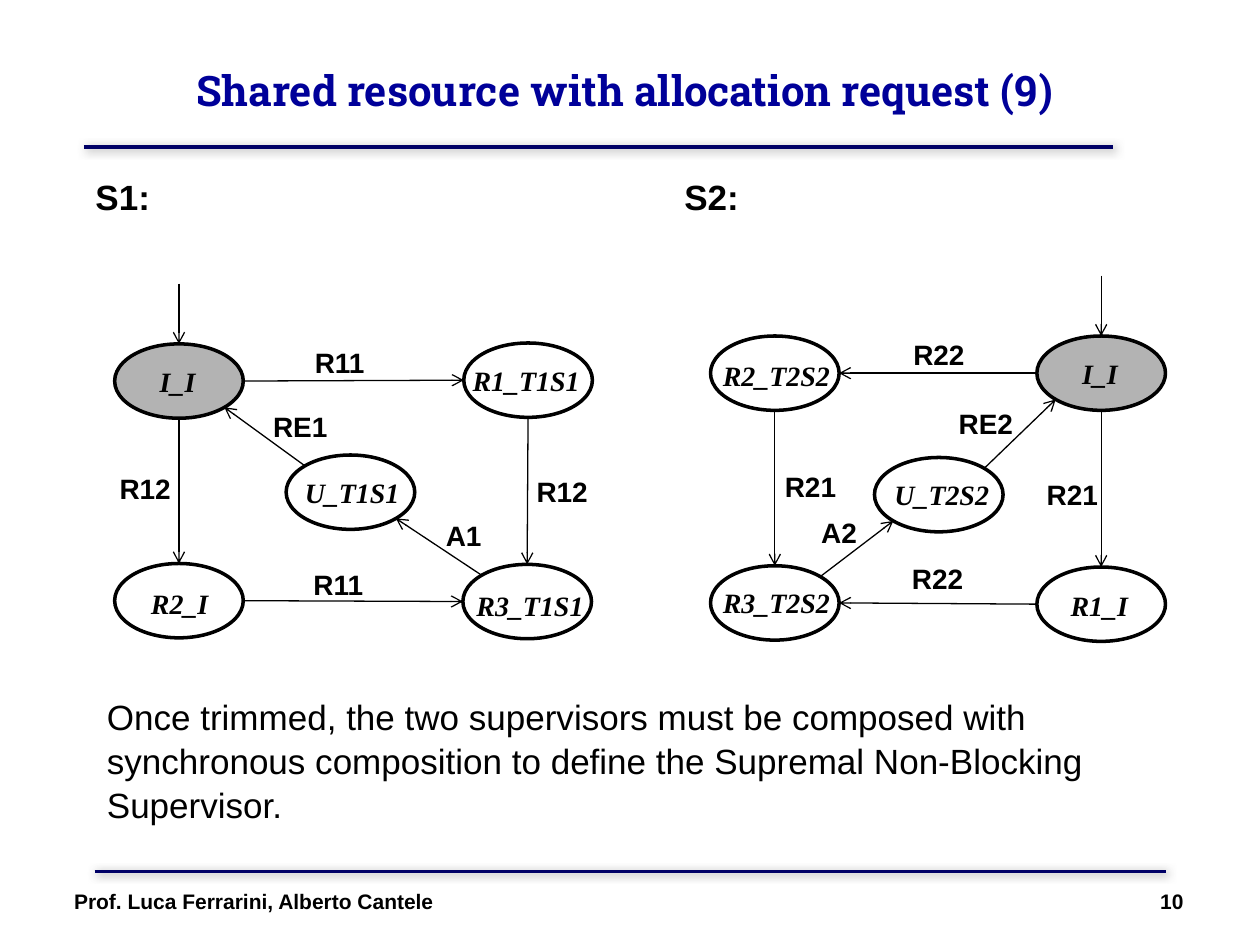
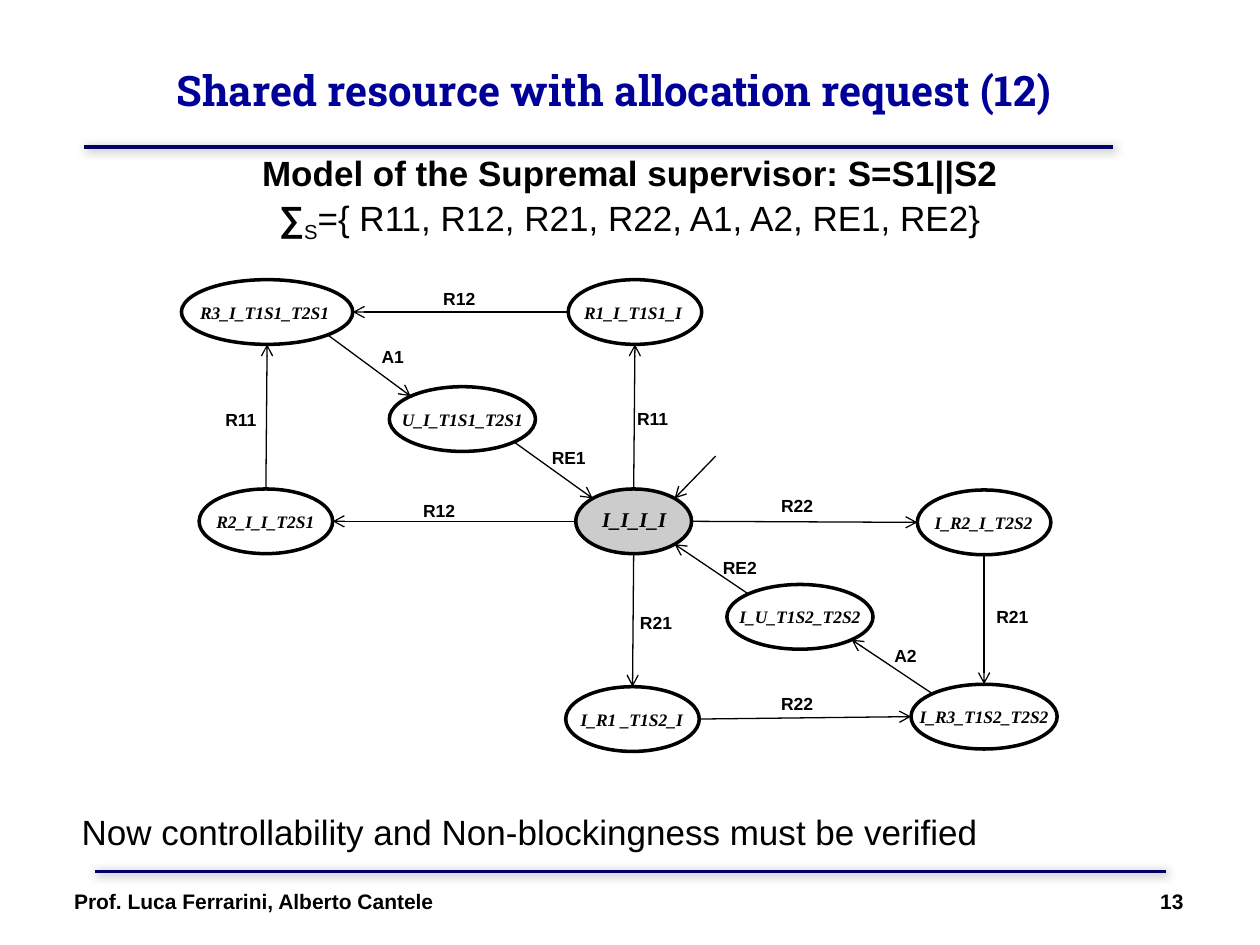
from math import sqrt

from lxml import etree
from pptx import Presentation
from pptx.dml.color import RGBColor
from pptx.enum.shapes import MSO_CONNECTOR, MSO_SHAPE
from pptx.enum.text import MSO_ANCHOR, PP_ALIGN
from pptx.oxml.ns import qn
from pptx.util import Pt

STRAIGHT = MSO_CONNECTOR.STRAIGHT
ELLIPSE = MSO_SHAPE.OVAL
MIDDLE, ANCHOR_TOP = MSO_ANCHOR.MIDDLE, MSO_ANCHOR.TOP
LEFT_ALIGN, CENTER = PP_ALIGN.LEFT, PP_ALIGN.CENTER

BLACK = RGBColor(0x00, 0x00, 0x00)
WHITE = RGBColor(0xFF, 0xFF, 0xFF)
TITLE_BLUE = RGBColor(0x00, 0x00, 0x99)
RULE_BLUE = RGBColor(0x00, 0x00, 0x66)
START_GREY = RGBColor(0xB3, 0xB3, 0xB3)
LIGHT_GREY = RGBColor(0xCC, 0xCC, 0xCC)

SANS, SERIF, SLAB = "Arial", "Times New Roman", "Roboto Slab"
AUTHORS = "Prof. Luca Ferrarini, Alberto Cantele"
TITLE = "Shared resource with allocation request"

TOP, TOP_LEFT, LEFT, BOTTOM_LEFT, BOTTOM, BOTTOM_RIGHT, RIGHT, TOP_RIGHT = range(8)
DIAGONAL = 0.5 / sqrt(2)
SITES = {
    TOP: (0.5, 0), BOTTOM: (0.5, 1), LEFT: (0, 0.5), RIGHT: (1, 0.5),
    TOP_LEFT: (0.5 - DIAGONAL, 0.5 - DIAGONAL),
    TOP_RIGHT: (0.5 + DIAGONAL, 0.5 - DIAGONAL),
    BOTTOM_LEFT: (0.5 - DIAGONAL, 0.5 + DIAGONAL),
    BOTTOM_RIGHT: (0.5 + DIAGONAL, 0.5 + DIAGONAL),
}

S1_STATES = [
    ("I_I", 65.5, 196.5, 18.7, 8),
    ("R1_T1S1", 265, 196, -2, 8),
    ("R2_I", 65.5, 322, 13.7, 9.4),
    ("R3_T1S1", 264.5, 322.5, 0.7, 10),
    ("U_T1S1", 163.5, 260, 3.6, 8),
]
S1_EVENTS = [
    ("R11", "I_I", RIGHT, "R1_T1S1", LEFT, 172.8, 193.7),
    ("R12", "I_I", BOTTOM, "R2_I", TOP, 61.2, 265.7),
    ("R12", "R1_T1S1", BOTTOM, "R3_T1S1", TOP, 299.5, 267.8),
    ("R11", "R2_I", RIGHT, "R3_T1S1", LEFT, 172, 321),
    ("A1", "R3_T1S1", TOP_LEFT, "U_T1S1", BOTTOM_RIGHT, 247.7, 293),
    ("RE1", "U_T1S1", TOP_LEFT, "I_I", BOTTOM_RIGHT, 149, 230.4),
]
S2_STATES = [
    ("I_I", 592.5, 192, 18.7, 8),
    ("R2_T2S2", 406, 192, 0, 9.5),
    ("R1_I", 592.5, 324, 12.2, 8.6),
    ("R3_T2S2", 406, 323.3, 0, 8),
    ("U_T2S2", 499.7, 261.4, 4.3, 8),
]
S2_EVENTS = [
    ("R22", "I_I", LEFT, "R2_T2S2", RIGHT, 514.8, 189.4),
    ("R21", "I_I", BOTTOM, "R1_I", TOP, 591, 269.3),
    ("R21", "R2_T2S2", BOTTOM, "R3_T2S2", TOP, 441.4, 265),
    ("R22", "R1_I", LEFT, "R3_T2S2", RIGHT, 514, 317.5),
    ("A2", "R3_T2S2", TOP_RIGHT, "U_T2S2", BOTTOM_LEFT, 462.2, 291),
    ("RE2", "U_T2S2", TOP_RIGHT, "I_I", BOTTOM_LEFT, 540.7, 229),
]
SUPREMAL_STATES = [
    ("R1_I_T1S1_I", 324.7, 159.8, 76.3, 2),
    ("I_R2_I_T2S2", 524.2, 280, 76.3, 2.8),
    ("I_R1 _T1S2_I", 323.3, 392.4, 76.3, 1.4),
    ("R2_I_I_T2S1", 113.8, 279.4, 76.3, 2.8),
    ("I_R3_T1S2_T2S2", 520.6, 391, 83.5, -2.2),
    ("I_U_T1S2_T2S2", 415.4, 334, 83.5, 0),
    ("R3_I_T1S1_T2S1", 103.7, 159.8, 97.9, 3.6),
    ("U_I_T1S1_T2S1", 222.5, 221, 83.5, 0),
]
SUPREMAL_EVENTS = [
    ("R11", "I_I_I_I", TOP, "R1_I_T1S1_I", BOTTOM, 357, 229.7),
    ("R12", "R1_I_T1S1_I", LEFT, "R3_I_T1S1_T2S1", RIGHT, 246.2, 161.3),
    ("R12", "I_I_I_I", LEFT, "R2_I_I_T2S1", RIGHT, 234.7, 282.2),
    ("R11", "R2_I_I_T2S1", TOP, "R3_I_T1S1_T2S1", BOTTOM, 121.7, 230.4),
    ("A1", "R3_I_T1S1_T2S1", BOTTOM_RIGHT, "U_I_T1S1_T2S1", TOP_LEFT, 211, 194.4),
    ("RE1", "U_I_T1S1_T2S1", BOTTOM_RIGHT, "I_I_I_I", TOP_LEFT, 308.2, 252),
    ("R22", "I_I_I_I", RIGHT, "I_R2_I_T2S2", LEFT, 439.2, 279.4),
    ("R21", "I_R2_I_T2S2", BOTTOM, "I_R3_T1S2_T2S2", TOP, 562.3, 342.7),
    ("R21", "I_I_I_I", BOTTOM, "I_R1 _T1S2_I", TOP, 358.6, 346.3),
    ("R22", "I_R1 _T1S2_I", RIGHT, "I_R3_T1S2_T2S2", LEFT, 439.2, 392.4),
    ("A2", "I_R3_T1S2_T2S2", TOP_LEFT, "I_U_T1S2_T2S2", BOTTOM_RIGHT, 504, 365),
    ("RE2", "I_U_T1S2_T2S2", TOP_LEFT, "I_I_I_I", BOTTOM_RIGHT, 406, 314.6),
]


class AutomataDeck:
    """Draws titled pages of state automata in one shared style."""

    def __init__(self):
        self.deck = Presentation()
        self.deck.slide_width, self.deck.slide_height = Pt(720), Pt(540)
        self.page = None

    def new_page(self, number, part, title_left):
        self.page = self.deck.slides.add_slide(self.deck.slide_layouts[6])
        self.rule(48, 636, 84)
        self.rule(54, 666, 498)
        title = self.text_box(title_left, 6, 612, 90, MIDDLE)
        title.margin_right = Pt(13)
        self.span(self.para(title, CENTER), f"{TITLE} ({part})", 24, SLAB,
                  bold=True, color=TITLE_BLUE)
        footer = self.text_box(24, 504, 672, 36)
        footer.margin_left = Pt(18.3)
        para = self.para(footer)
        tabs = etree.SubElement(para._p.get_or_add_pPr(), qn("a:tabLst"))
        etree.SubElement(tabs, qn("a:tab"), pos=str(Pt(634)), algn="r")
        self.span(para, f"{AUTHORS}\t{number}", 12, bold=True)

    def text_box(self, left, top, width, height, anchor=ANCHOR_TOP):
        frame = self.page.shapes.add_textbox(
            Pt(left), Pt(top), Pt(width), Pt(height)).text_frame
        frame.word_wrap = True
        frame.vertical_anchor = anchor
        return frame

    def para(self, frame, align=LEFT_ALIGN):
        first = frame.paragraphs[0]
        para = frame.add_paragraph() if first.runs else first
        para.alignment = align
        return para

    def span(self, para, text, size, font=SANS, bold=False, italic=False, color=BLACK):
        span = para.add_run()
        span.text = text
        span.font.size, span.font.name = Pt(size), font
        span.font.bold, span.font.italic = bold, italic
        span.font.color.rgb = color
        return span

    def prose(self, left, top, height, lines, align=LEFT_ALIGN):
        frame = self.text_box(left, top, 641, height)
        for line in lines:
            para = self.para(frame, align)
            para.line_spacing = 1.05
            for text, bold, baseline in line:
                span = self.span(para, text, 20, bold=bold)
                if baseline:
                    span._r.get_or_add_rPr().set("baseline", str(baseline * 1000))

    def label(self, text, left, top, size, font=SANS, italic=False):
        letter = 0.65 if italic else 0.7
        frame = self.text_box(left, top, 14.4 + letter * size * len(text),
                              7.2 + 1.2 * size)
        self.span(self.para(frame), text, size, font, True, italic)

    def line(self, start, end, color, weight):
        line = self.page.shapes.add_connector(
            STRAIGHT, *(Pt(value) for value in (*start, *end)))
        line.line.color.rgb = color
        line.line.width = Pt(weight)
        effects = etree.SubElement(line._element.spPr, qn("a:effectLst"))
        return line, effects

    def rule(self, left, right, top):
        effects = self.line((left, top), (right, top), RULE_BLUE, 2.25)[1]
        shadow = etree.SubElement(effects, qn("a:outerShdw"), blurRad=str(Pt(5)),
                                  dist=str(Pt(1.4)), dir="2700000")
        color = etree.SubElement(shadow, qn("a:srgbClr"), val="808080")
        etree.SubElement(color, qn("a:alpha"), val="75000")

    def state(self, name, left, top, width, height, dx, dy, size, fill=None):
        ellipse = self.page.shapes.add_shape(
            ELLIPSE, Pt(left), Pt(top), Pt(width), Pt(height))
        ellipse.shadow.inherit = False
        ellipse.line.color.rgb, ellipse.line.width = BLACK, Pt(2)
        if fill is None:
            ellipse.fill.background()
        else:
            ellipse.fill.solid()
            ellipse.fill.fore_color.rgb = fill
        self.label(name, left + dx, top + dy, size, SERIF, True)
        return ellipse

    def site_point(self, state, site):
        across, down = SITES[site]
        return ((state.left + across * state.width) / Pt(1),
                (state.top + down * state.height) / Pt(1))

    def arrow(self, start, target, target_site, source=None, source_site=TOP):
        line, _ = self.line(start, self.site_point(target, target_site), BLACK, 0.75)
        etree.SubElement(line.line._get_or_add_ln(), qn("a:tailEnd"), type="arrow")
        joints = line._element.nvCxnSpPr.cNvCxnSpPr
        for tag, state, site in (("a:stCxn", source, source_site),
                                 ("a:endCxn", target, target_site)):
            if state is not None:
                etree.SubElement(joints, qn(tag), id=str(state.shape_id), idx=str(site))

    def transitions(self, states, events, size):
        for event, source, source_site, target, target_site, left, top in events:
            start = self.site_point(states[source], source_site)
            self.arrow(start, states[target], target_site, states[source], source_site)
            self.label(event, left, top, size)

    def supervisor(self, name, name_left, states, events):
        self.label(name, name_left, 97, 20)
        ellipses = {}
        for state, left, top, dx, dy in states:
            fill = START_GREY if state == "I_I" else None
            ellipses[state] = self.state(state, left, top, 73.5, 42.5, dx, dy, 16, fill)
        start_x, start_y = self.site_point(ellipses["I_I"], TOP)
        self.arrow((start_x, start_y - 34.5), ellipses["I_I"], TOP)
        self.transitions(ellipses, events, 16)


def supervisors_page(deck):
    deck.new_page(10, 9, 54)
    deck.supervisor("S1:", 47.5, S1_STATES, S1_EVENTS)
    deck.supervisor("S2:", 384, S2_STATES, S2_EVENTS)
    deck.prose(54, 392.5, 80, [[(
        "Once trimmed, the two supervisors must be composed with synchronous "
        "composition to define the Supremal Non-Blocking Supervisor.", False, 0)]])


def supremal_page(deck):
    deck.new_page(13, 12, 48)
    deck.prose(39.5, 82, 80, [
        [("Model of the Supremal supervisor: S=S1||S2", True, 0)],
        [("∑", True, 0), ("S", False, -25),
         ("={ R11, R12, R21, R22, A1, A2, RE1, RE2}", False, 0)],
    ], CENTER)
    states = {"I_I_I_I": deck.state("I_I_I_I", 329, 279.4, 66.2, 37, 8, 6.5, 12, LIGHT_GREY)}
    for name, left, top, width, dx in SUPREMAL_STATES:
        states[name] = deck.state(name, left, top, width, 37, dx, 9, 10, WHITE)
    deck.arrow((409, 260.6), states["I_I_I_I"], TOP_RIGHT)
    deck.transitions(states, SUPREMAL_EVENTS, 10)
    deck.prose(39.5, 458.6, 32, [[(
        "Now controllability and Non-blockingness must be verified", False, 0)]])


def main():
    deck = AutomataDeck()
    supervisors_page(deck)
    supremal_page(deck)
    deck.deck.save("out.pptx")


if __name__ == "__main__":
    main()
